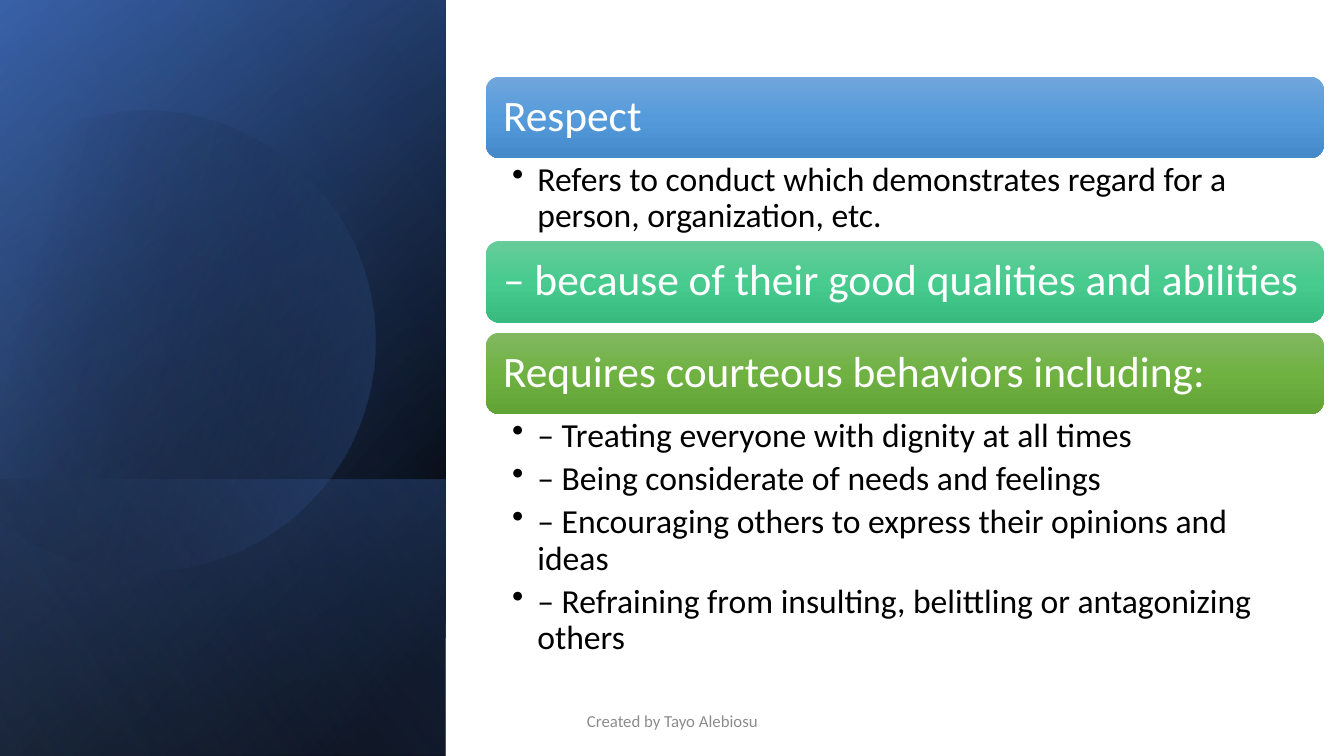
import math
import pptx
import pptx.util
import pptx.oxml
import pptx.dml.color
from pptx.enum.shapes import MSO_SHAPE
from pptx.enum.text import MSO_ANCHOR, PP_ALIGN
from dataclasses import dataclass

PX = 9144
NS = 'xmlns:a="http://schemas.openxmlformats.org/drawingml/2006/main"'


@dataclass(frozen=True)
class Theme:
    face: str = "Calibri"
    head: int = 31
    body: int = 24
    foot: int = 12
    black: str = "000000"
    white: str = "FFFFFF"
    gray: str = "8C8C8C"
    navy: str = "2F5597"
    blue: str = "4472C4"
    pale: str = "8FAADC"
    sky: tuple = ("71A6DB", "559BDB", "448ACA")
    mint: tuple = ("67CC9A", "47CB8E", "39BB7F")
    leaf: tuple = ("81B861", "6FB242", "62A336")


T = Theme()

TOPICS = [
    ("Respect", T.sky, 82,
     ["Refers to conduct which demonstrates regard for a person, organization, etc."]),
    ("– because of their good qualities and abilities", T.mint, 10, []),
    ("Requires courteous behaviors including:", T.leaf, 260,
     ["– Treating everyone with dignity at all times",
      "– Being considerate of needs and feelings",
      "– Encouraging others to express their opinions and ideas",
      "– Refraining from insulting, belittling or antagonizing others"]),
]

DISC_START = (149, 110)
DISC_CURVES = [
    ((246, 112), (335, 177), (363, 275)),
    ((398, 397), (328, 523), (207, 558)),
    ((131, 580), (53, 561), (-3, 514)),
    ((-15, 503),),
    ((-15, 175),),
    ((0, 161),),
    ((23, 142), (50, 128), (80, 119)),
    ((103, 113), (126, 110), (149, 110)),
]


def put(item, **values):
    for name, value in values.items():
        setattr(item, name, value)


def emu(*sizes):
    return [round(size * PX) for size in sizes]


def shade(shape, stops, angle):
    shape.shadow.inherit = False
    shape.line.fill.background()
    shape.fill.background()
    marks = "".join(
        f'<a:gs pos="{pos * 1000}"><a:srgbClr val="{color}">'
        f'<a:alpha val="{alpha * 1000}"/></a:srgbClr></a:gs>'
        for pos, color, alpha in stops)
    grad = pptx.oxml.parse_xml(
        f'<a:gradFill {NS} rotWithShape="1"><a:gsLst>{marks}</a:gsLst>'
        f'<a:lin ang="{angle * 60000}" scaled="0"/></a:gradFill>')
    props = shape.fill._xPr
    blank = props.find(pptx.oxml.ns.qn("a:noFill"))
    props.replace(blank, grad)


def write(shape, lines, size, color, inset, para=None, bullet=False, **frame):
    text = shape.text_frame
    sides = ("margin_left", "margin_top", "margin_right", "margin_bottom")
    put(text, word_wrap=True, **dict(zip(sides, emu(*inset))), **frame)
    for row, line in enumerate(lines):
        part = text.add_paragraph() if row else text.paragraphs[0]
        part.text = line
        if bullet:
            props = part._p.get_or_add_pPr()
            props.set("marL", str(25 * PX))
            props.set("indent", str(-25 * PX))
            props.append(pptx.oxml.parse_xml(f'<a:buChar {NS} char="•"/>'))
        put(part, **(para or {}))
        put(part.font, name=T.face, size=pptx.util.Pt(size))
        part.font.color.rgb = pptx.dml.color.RGBColor.from_string(color)


def panel(shapes, left, top, width, height, stops, angle):
    x = left + (width - height) / 2
    y = top + (height - width) / 2
    rect = shapes.add_shape(MSO_SHAPE.RECTANGLE, *emu(x, y, height, width))
    rect.rotation = 90
    rect._element.spPr.xfrm.set("flipH", "1")
    shade(rect, stops, angle)


def trace(start, curves, steps=24):
    points = [start]
    for curve in curves:
        if len(curve) == 1:
            points.append(curve[0])
            continue
        ends = (points[-1], *curve)
        for step in range(1, steps + 1):
            t = step / steps
            rates = [math.comb(3, k) * t ** k * (1 - t) ** (3 - k) for k in range(4)]
            points.append(tuple(sum(r * end[axis] for r, end in zip(rates, ends))
                                for axis in (0, 1)))
    return points


def disc(shapes, left, top, width, height, turn):
    mid = (left + width / 2, top + height / 2)
    cos, sin = math.cos(math.radians(-turn)), math.sin(math.radians(-turn))
    spots = []
    for x, y in trace(DISC_START, DISC_CURVES):
        dx, dy = x - mid[0], y - mid[1]
        spots.append(emu(mid[0] + dx * cos - dy * sin, mid[1] + dx * sin + dy * cos))
    form = shapes.build_freeform(*spots[0], scale=1.0)
    form.add_line_segments(spots[1:], close=True)
    shape = form.convert_to_shape()
    shape.rotation = turn
    shade(shape, [(29, T.black, 0), (100, T.blue, 43)], 30)


def sidebar(shapes, left, top, width, height):
    box = (left, top, width, height)
    low = 274
    panel(shapes, *box, [(8, T.black, 100), (100, T.navy, 100)], 50)
    panel(shapes, *box, [(0, T.black, 0), (99, T.blue, 46)], 30)
    panel(shapes, left, top + height - low, width, low,
          [(2, T.blue, 29), (100, T.black, 30)], 130)
    disc(shapes, left - 55, top + 106, 427, 457, 343.9)
    panel(shapes, *box, [(0, T.black, 0), (99, T.pale, 11)], 120)


def topics(shapes, left, top, width, bar=81):
    for title, tones, room, notes in TOPICS:
        shape = shapes.add_shape(MSO_SHAPE.ROUNDED_RECTANGLE, *emu(left, top, width, bar))
        shade(shape, [(pos, tone, 100) for pos, tone in zip((0, 50, 100), tones)], 90)
        write(shape, [title], T.head, T.white, (13, 13, 13, 13),
              dict(line_spacing=0.9, alignment=PP_ALIGN.LEFT),
              vertical_anchor=MSO_ANCHOR.MIDDLE)
        top += bar
        if notes:
            area = shapes.add_textbox(*emu(left, top, width, room))
            write(area, notes, T.body, T.black, (26, 4, 24, 4),
                  dict(level=1, line_spacing=0.9, space_after=pptx.util.Pt(5)),
                  bullet=True)
        top += room


def footer(shapes, left, top, width, height):
    area = shapes.add_textbox(*emu(left, top, width, height))
    write(area, ["Created by Tayo Alebiosu"], T.foot, T.gray, (10, 5, 10, 5),
          dict(alignment=PP_ALIGN.CENTER), vertical_anchor=MSO_ANCHOR.MIDDLE)


def main():
    deck = pptx.Presentation()
    put(deck, slide_width=1333 * PX, slide_height=750 * PX)
    shapes = deck.slides.add_slide(deck.slide_layouts[6]).shapes
    sidebar(shapes, 0, 0, 442, 750)
    topics(shapes, 482, 76, 831)
    footer(shapes, 442, 695, 450, 40)
    deck.save("out.pptx")


if __name__ == "__main__":
    main()
